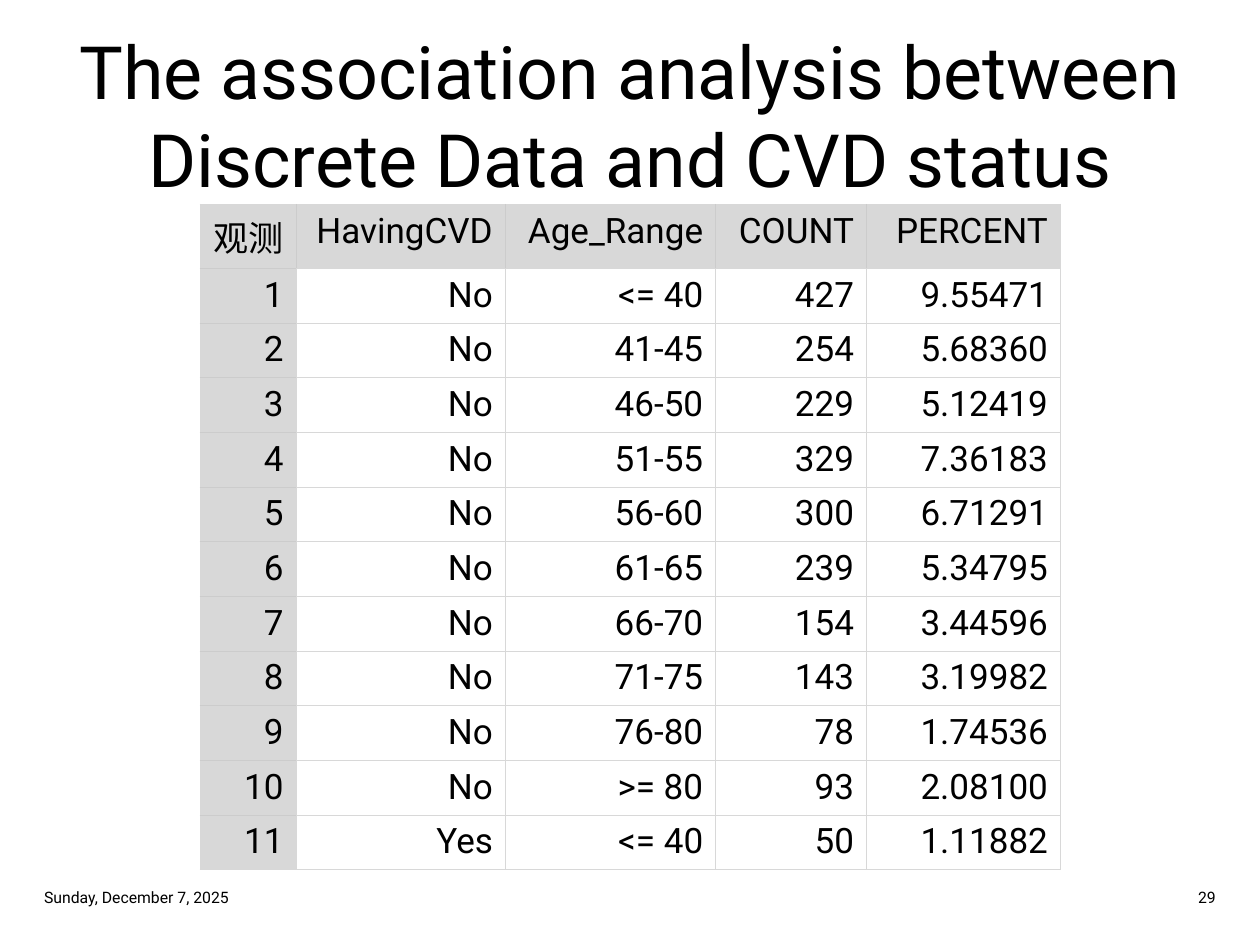
import pptx
import pptx.dml.color
import pptx.enum.text
import pptx.oxml
import pptx.oxml.ns
import pptx.util

Cm = pptx.util.Cm
Pt = pptx.util.Pt
Align = pptx.enum.text.PP_ALIGN

FONT = "Roboto"
COLOURS = {"text": "000000", "shade": "D8D8D8", "inner": "CCCCCC", "grid": "D8D8D8"}

HEADER = ["观测", "HavingCVD", "Age_Range", "COUNT", "PERCENT"]
RECORDS = [
    ("No", "<= 40", "427", "9.55471"),
    ("No", "41-45", "254", "5.68360"),
    ("No", "46-50", "229", "5.12419"),
    ("No", "51-55", "329", "7.36183"),
    ("No", "56-60", "300", "6.71291"),
    ("No", "61-65", "239", "5.34795"),
    ("No", "66-70", "154", "3.44596"),
    ("No", "71-75", "143", "3.19982"),
    ("No", "76-80", "78", "1.74536"),
    ("No", ">= 80", "93", "2.08100"),
    ("Yes", "<= 40", "50", "1.11882"),
]
COLUMN_WIDTHS = [1.94, 4.22, 4.24, 3.04, 3.91]
HEADER_HEIGHT = 1.29
ROW_HEIGHT = 1.08


def colour(name):
    return pptx.dml.color.RGBColor.from_string(COLOURS[name])


def format_text(text_frame, size, alignment):
    for paragraph in text_frame.paragraphs:
        paragraph.alignment = alignment
        for run in paragraph.runs:
            run.font.name = FONT
            run.font.size = Pt(size)
            run.font.color.rgb = colour("text")


def add_text(slide, box, text, size, alignment):
    """Add a vertically centred text box; box is left, top, width, height in cm."""
    text_frame = slide.shapes.add_textbox(*map(Cm, box)).text_frame
    text_frame.word_wrap = True
    text_frame.vertical_anchor = pptx.enum.text.MSO_ANCHOR.MIDDLE
    text_frame.text = text
    format_text(text_frame, size, alignment)


def add_border(cell, side, colour_name):
    """Draw one side (L, R, T or B) of a cell; call before setting its fill."""
    cell._tc.get_or_add_tcPr().append(pptx.oxml.parse_xml(
        f'<a:ln{side} {pptx.oxml.ns.nsdecls("a")} w="{Pt(0.5)}"><a:solidFill>'
        f'<a:srgbClr val="{COLOURS[colour_name]}"/></a:solidFill></a:ln{side}>'
    ))


def add_frequency_table(slide, left, top):
    rows = [HEADER] + [(str(number), *record) for number, record in enumerate(RECORDS, 1)]
    heights = [HEADER_HEIGHT] + [ROW_HEIGHT] * len(RECORDS)
    table = slide.shapes.add_table(
        len(rows), len(HEADER), Cm(left), Cm(top),
        Cm(sum(COLUMN_WIDTHS)), Cm(sum(heights)),
    ).table
    table.horz_banding = False
    for column, width in zip(table.columns, COLUMN_WIDTHS):
        column.width = Cm(width)
    for row, height in zip(table.rows, heights):
        row.height = Cm(height)

    for row_index, values in enumerate(rows):
        for column_index, value in enumerate(values):
            cell = table.cell(row_index, column_index)
            shaded = row_index == 0 or column_index == 0
            on_outer_edge = {
                "L": column_index == 0,
                "R": column_index == len(HEADER) - 1,
                "T": row_index == 0,
                "B": row_index == len(rows) - 1,
            }
            for side, outer in on_outer_edge.items():
                add_border(cell, side, "inner" if shaded and not outer else "grid")
            if shaded:
                cell.fill.solid()
                cell.fill.fore_color.rgb = colour("shade")
            else:
                cell.fill.background()
            cell.text_frame.text = value
            format_text(cell.text_frame, 20, Align.RIGHT)
            for run in cell.text_frame.paragraphs[0].runs:
                run.font.bold = False


def add_footer(slide, left, top, width, height):
    part_width = width / 4
    add_text(slide, (left, top, part_width, height),
             "Sunday, December 7, 2025", 9, Align.LEFT)
    add_text(slide, (left + width - part_width, top, part_width, height),
             "29", 9, Align.RIGHT)


def main():
    presentation = pptx.Presentation()
    presentation.slide_width = Cm(25.4)
    presentation.slide_height = Cm(19.05)
    slide = presentation.slides.add_slide(presentation.slide_layouts[6])
    margin = 0.64
    width = 25.4 - 2 * margin
    add_text(slide, (margin, margin, width, 3.33),
             "The association analysis between\vDiscrete Data and CVD status",
             42, Align.CENTER)
    add_frequency_table(slide, 4.03, 4.12)
    add_footer(slide, margin, 17.75, width, 0.66)
    presentation.save("out.pptx")


if __name__ == "__main__":
    main()
